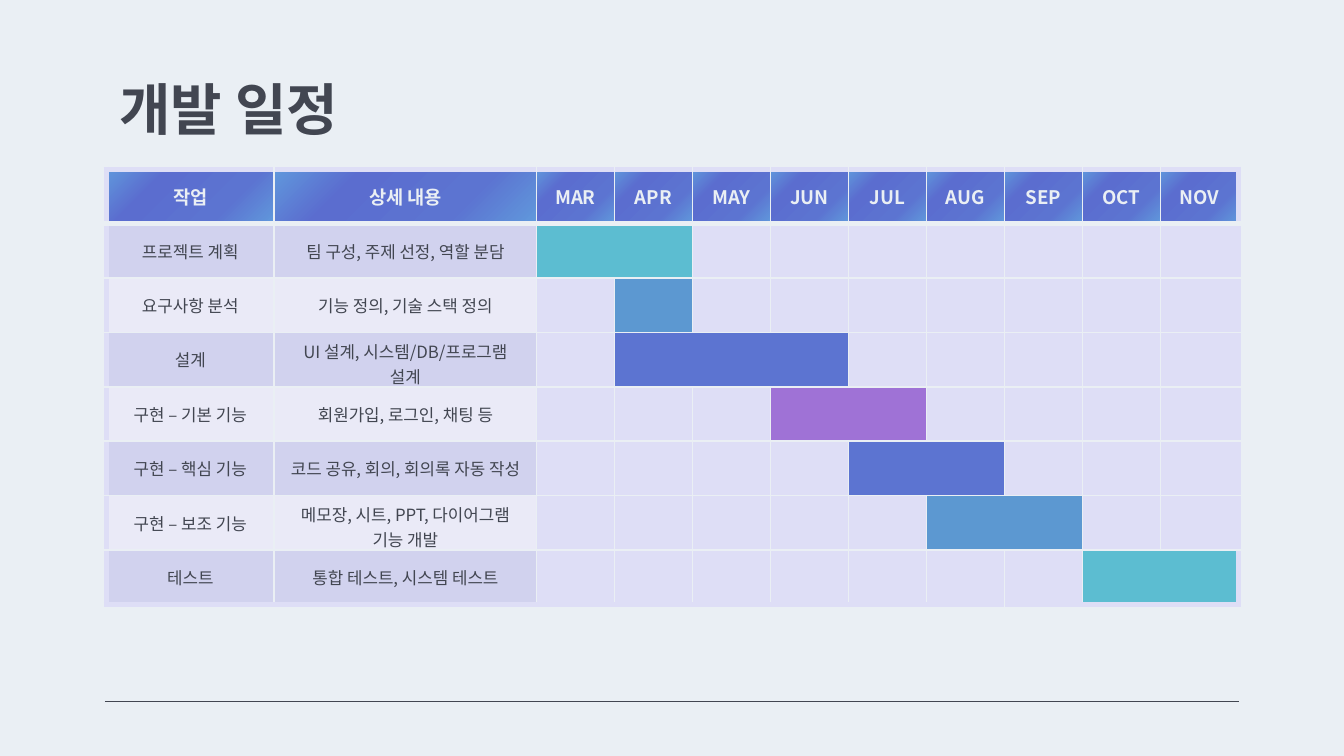
from dataclasses import dataclass
from typing import NamedTuple, Optional

from lxml.etree import SubElement
from pptx import Presentation
from pptx.dml.color import RGBColor as Rgb
from pptx.enum.shapes import MSO_CONNECTOR as Connector
from pptx.enum.text import MSO_ANCHOR as Anchor, PP_ALIGN as Align
from pptx.oxml.ns import qn
from pptx.slide import Slide
from pptx.table import _Cell as Cell
from pptx.util import Pt


@dataclass(frozen=True)
class Theme:
    font: str = "Noto Sans CJK KR"
    ink: str = "424651"
    paper: str = "EAEFF4"
    grid: str = "DEDEF6"
    odd_row: str = "D1D2EE"
    even_row: str = "EAEAF7"
    teal: str = "5CBDD1"
    blue: str = "5C98D1"
    indigo: str = "5C74D1"
    violet: str = "9F72D6"
    header: tuple = ((0, "6098DC"), (28, "5B6DCF"), (71, "5C74D1"), (100, "6099DC"))
    title_size: float = 30
    header_size: float = 10
    body_size: float = 9
    thin: float = 1
    thick: float = 3


class Task(NamedTuple):
    name: str
    detail: str
    start: str
    end: str
    color: str


THEME = Theme()
MONTHS = ["MAR", "APR", "MAY", "JUN", "JUL", "AUG", "SEP", "OCT", "NOV"]
HEADINGS = ["작업", "상세 내용", *MONTHS]
TASKS = [
    Task("프로젝트 계획", "팀 구성, 주제 선정, 역할 분담", "MAR", "APR", THEME.teal),
    Task("요구사항 분석", "기능 정의, 기술 스택 정의", "APR", "APR", THEME.blue),
    Task("설계", "UI 설계, 시스템/DB/프로그램 설계", "APR", "JUN", THEME.indigo),
    Task("구현 – 기본 기능", "회원가입, 로그인, 채팅 등", "JUN", "JUL", THEME.violet),
    Task("구현 – 핵심 기능", "코드 공유, 회의, 회의록 자동 작성", "JUL", "AUG", THEME.indigo),
    Task("구현 – 보조 기능", "메모장, 시트, PPT, 다이어그램 기능 개발", "AUG", "SEP", THEME.blue),
    Task("테스트", "통합 테스트, 시스템 테스트", "OCT", "NOV", THEME.teal),
]
LAST_ROW = len(TASKS)
LAST_COLUMN = len(HEADINGS) - 1
COLUMN_WIDTHS = [90, 140.5] + [41.8] * len(MONTHS)
ROW_HEIGHT = 29.16


def write(paragraph, text: str, size: float, color: str, bold: bool) -> None:
    run = paragraph.add_run()
    run.text = text
    for key, value in {"name": THEME.font, "size": Pt(size), "bold": bold}.items():
        setattr(run.font, key, value)
    run.font.color.rgb = Rgb.from_string(color)
    SubElement(run.font._element, qn("a:ea"), typeface=THEME.font)


def fill_solid(cell: Cell, color: str) -> None:
    cell.fill.solid()
    cell.fill.fore_color.rgb = Rgb.from_string(color)


def fill_header(cell: Cell) -> None:
    gradient = SubElement(cell._tc.get_or_add_tcPr(), qn("a:gradFill"), rotWithShape="1")
    stops = SubElement(gradient, qn("a:gsLst"))
    for position, color in THEME.header:
        stop = SubElement(stops, qn("a:gs"), pos=str(position * 1000))
        SubElement(stop, qn("a:srgbClr"), val=color)
    SubElement(gradient, qn("a:lin"), ang=str(45 * 60000), scaled="0")


def add_borders(cell: Cell, row: int, first: int, last: int) -> None:
    inner = (THEME.paper, THEME.thin)
    outer = (THEME.grid, THEME.thick)
    bottom = outer if row == LAST_ROW else inner
    edges = {
        "a:lnL": outer if first == 0 else inner,
        "a:lnR": outer if last == LAST_COLUMN else inner,
        "a:lnT": outer if row == 0 else inner,
        "a:lnB": (THEME.paper, THEME.thick) if row == 0 else bottom,
    }
    properties = cell._tc.get_or_add_tcPr()
    for index, (tag, (color, width)) in enumerate(edges.items()):
        edge = SubElement(properties, qn(tag), w=str(Pt(width)))
        solid = SubElement(edge, qn("a:solidFill"))
        SubElement(solid, qn("a:srgbClr"), val=color)
        properties.insert(index, edge)


def draw_cell(cell: Cell, row: int, column: int, text: str, color: Optional[str],
              last: Optional[int] = None) -> None:
    if color:
        fill_solid(cell, color)
    else:
        fill_header(cell)
    add_borders(cell, row, column, column if last is None else last)
    cell.vertical_anchor = Anchor.MIDDLE
    paragraph = cell.text_frame.paragraphs[0]
    paragraph.alignment = Align.CENTER
    if not text:
        SubElement(paragraph._p, qn("a:endParaRPr"), sz=str(THEME.body_size * 100))
    elif row == 0:
        write(paragraph, text, THEME.header_size, THEME.paper, True)
    else:
        write(paragraph, text, THEME.body_size, THEME.ink, False)


def draw_schedule(slide: Slide) -> None:
    schedule = slide.shapes.add_table(
        LAST_ROW + 1, LAST_COLUMN + 1, Pt(56.9), Pt(90.7),
        Pt(sum(COLUMN_WIDTHS)), Pt(ROW_HEIGHT * (LAST_ROW + 1))).table
    for key, value in {"first_row": False, "horz_banding": False}.items():
        setattr(schedule, key, value)
    for column, width in zip(schedule.columns, COLUMN_WIDTHS):
        column.width = Pt(width)
    for row in schedule.rows:
        row.height = Pt(ROW_HEIGHT)

    for column, heading in enumerate(HEADINGS):
        draw_cell(schedule.cell(0, column), 0, column, heading, None)
    for row, task in enumerate(TASKS, 1):
        label_fill = THEME.odd_row if row % 2 else THEME.even_row
        for column, text in enumerate((task.name, task.detail)):
            draw_cell(schedule.cell(row, column), row, column, text, label_fill)
        start, end = HEADINGS.index(task.start), HEADINGS.index(task.end)
        for column in range(2, LAST_COLUMN + 1):
            busy = start <= column <= end
            draw_cell(schedule.cell(row, column), row, column, "",
                      task.color if busy else THEME.grid, end if busy else column)
        if end > start:
            schedule.cell(row, start).merge(schedule.cell(row, end))


def draw_title(slide: Slide, text: str) -> None:
    title = slide.shapes.add_textbox(Pt(56.9), Pt(35.3), Pt(607), Pt(45.4)).text_frame
    margins = {f"margin_{side}": Pt(7.2) for side in ("left", "top", "right", "bottom")}
    for key, value in {"word_wrap": True, "vertical_anchor": Anchor.MIDDLE, **margins}.items():
        setattr(title, key, value)
    write(title.paragraphs[0], text, THEME.title_size, THEME.ink, True)


def draw_footer_rule(slide: Slide) -> None:
    rule = slide.shapes.add_connector(Connector.STRAIGHT, Pt(56.2), Pt(375.8), Pt(663.8), Pt(375.8))
    rule.line.width = Pt(0.75)
    rule.line.color.rgb = Rgb.from_string(THEME.ink)
    SubElement(rule._element.spPr, qn("a:effectLst"))


def main() -> None:
    deck = Presentation()
    deck.slide_width, deck.slide_height = Pt(720), Pt(405)
    slide = deck.slides.add_slide(deck.slide_layouts[6])
    slide.background.fill.solid()
    slide.background.fill.fore_color.rgb = Rgb.from_string(THEME.paper)
    draw_footer_rule(slide)
    draw_title(slide, "개발 일정")
    draw_schedule(slide)
    deck.save("out.pptx")


if __name__ == "__main__":
    main()
